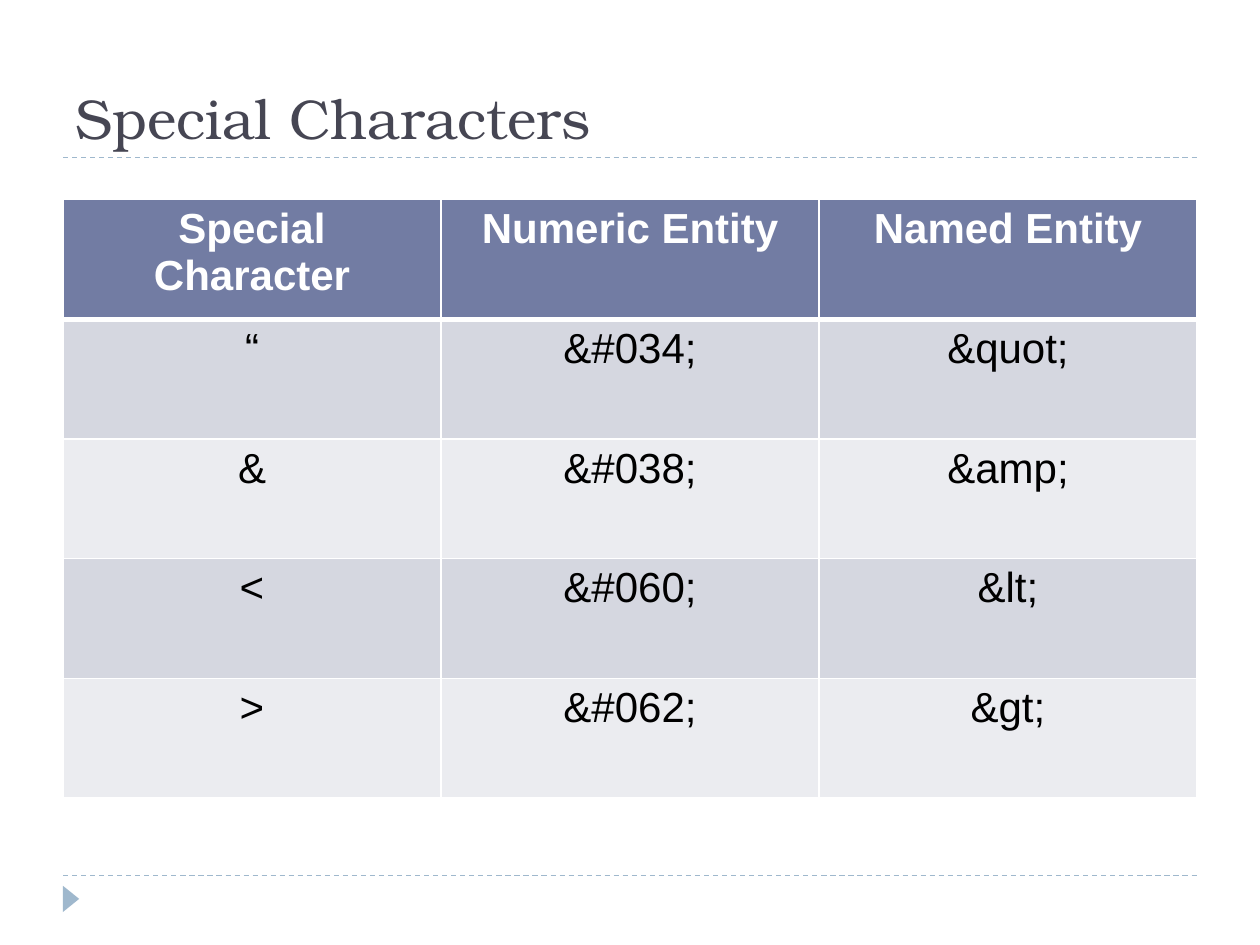
from lxml.etree import SubElement
from pptx import Presentation
from pptx.dml.color import RGBColor
from pptx.enum.dml import MSO_LINE
from pptx.enum.shapes import MSO_CONNECTOR, MSO_SHAPE
from pptx.enum.text import MSO_ANCHOR, MSO_AUTO_SIZE, PP_ALIGN
from pptx.oxml.ns import qn
from pptx.util import Pt

WHITE = RGBColor(0xFF, 0xFF, 0xFF)
BLACK = RGBColor(0x00, 0x00, 0x00)
TITLE_INK = RGBColor(0x46, 0x46, 0x53)
PALE_BLUE = RGBColor(0x9F, 0xB8, 0xCD)
HEADER_FILL = RGBColor(0x72, 0x7C, 0xA3)
BAND_FILLS = [RGBColor(0xEB, 0xEC, 0xF0), RGBColor(0xD5, 0xD7, 0xE0)]

LEFT, WIDTH = 36, 648
ROW_HEIGHT = 68.4
ENTITIES = [
    ("Special Character", "Numeric Entity", "Named Entity"),
    ("“", "&#034;", "&quot;"),
    ("&", "&#038;", "&amp;"),
    ("<", "&#060;", "&lt;"),
    (">", "&#062;", "&gt;"),
]


def set_format(target, values):
    for name, value in values.items():
        setattr(target, name, value)


def add_border(cell, side, weight):
    """Draw one side (L, R, T or B) of a cell in white; call before filling the cell."""
    border = SubElement(cell._tc.get_or_add_tcPr(), qn(f"a:ln{side}"), w=str(Pt(weight)))
    fill = SubElement(border, qn("a:solidFill"))
    SubElement(fill, qn("a:srgbClr"), val=str(WHITE))


prs = Presentation()
set_format(prs, {"slide_width": Pt(720), "slide_height": Pt(540)})
slide = prs.slides.add_slide(prs.slide_layouts[5])

# Rules above and below the content
for rule_y in (500.4, 90):
    rule = slide.shapes.add_connector(
        MSO_CONNECTOR.STRAIGHT, Pt(LEFT), Pt(rule_y), Pt(LEFT + WIDTH), Pt(rule_y))
    rule.line.color.rgb = PALE_BLUE
    set_format(rule.line, {"width": Pt(0.75), "dash_style": MSO_LINE.DASH})
    SubElement(rule._element.spPr, qn("a:effectLst"))

# Footer marker
marker = slide.shapes.add_shape(
    MSO_SHAPE.ISOSCELES_TRIANGLE, Pt(33.1), Pt(509), Pt(15), Pt(9.3))
marker.rotation = 90
marker.shadow.inherit = False
marker.fill.solid()
marker.fill.fore_color.rgb = PALE_BLUE
marker.line.fill.background()

# Title
title = slide.shapes.title
set_format(title, {"left": Pt(LEFT), "top": Pt(12.2), "width": Pt(WIDTH), "height": Pt(77.8)})
set_format(title.text_frame, {
    "text": "Special Characters", "vertical_anchor": MSO_ANCHOR.BOTTOM,
    "auto_size": MSO_AUTO_SIZE.NONE, "word_wrap": True})
heading = title.text_frame.paragraphs[0]
heading.alignment = PP_ALIGN.LEFT
heading_font = heading.runs[0].font
set_format(heading_font, {"name": "TeX Gyre Bonum", "size": Pt(32)})
heading_font.color.rgb = TITLE_INK

# Entity table
entity_table = slide.shapes.add_table(
    len(ENTITIES), len(ENTITIES[0]), Pt(LEFT), Pt(114),
    Pt(WIDTH), Pt(ROW_HEIGHT * len(ENTITIES))).table
for row, entries in enumerate(ENTITIES):
    is_header = row == 0
    for column, entry in enumerate(entries):
        cell = entity_table.cell(row, column)
        cell.text = entry
        for side in "LRTB":
            meets_header = (row, side) in ((0, "B"), (1, "T"))
            add_border(cell, side, 3 if meets_header else 1)
        cell.fill.solid()
        cell.fill.fore_color.rgb = HEADER_FILL if is_header else BAND_FILLS[row % 2]
        paragraph = cell.text_frame.paragraphs[0]
        paragraph.alignment = PP_ALIGN.CENTER
        font = paragraph.runs[0].font
        set_format(font, {"name": "Arial", "size": Pt(24), "bold": is_header})
        font.color.rgb = WHITE if is_header else BLACK

prs.save("out.pptx")
